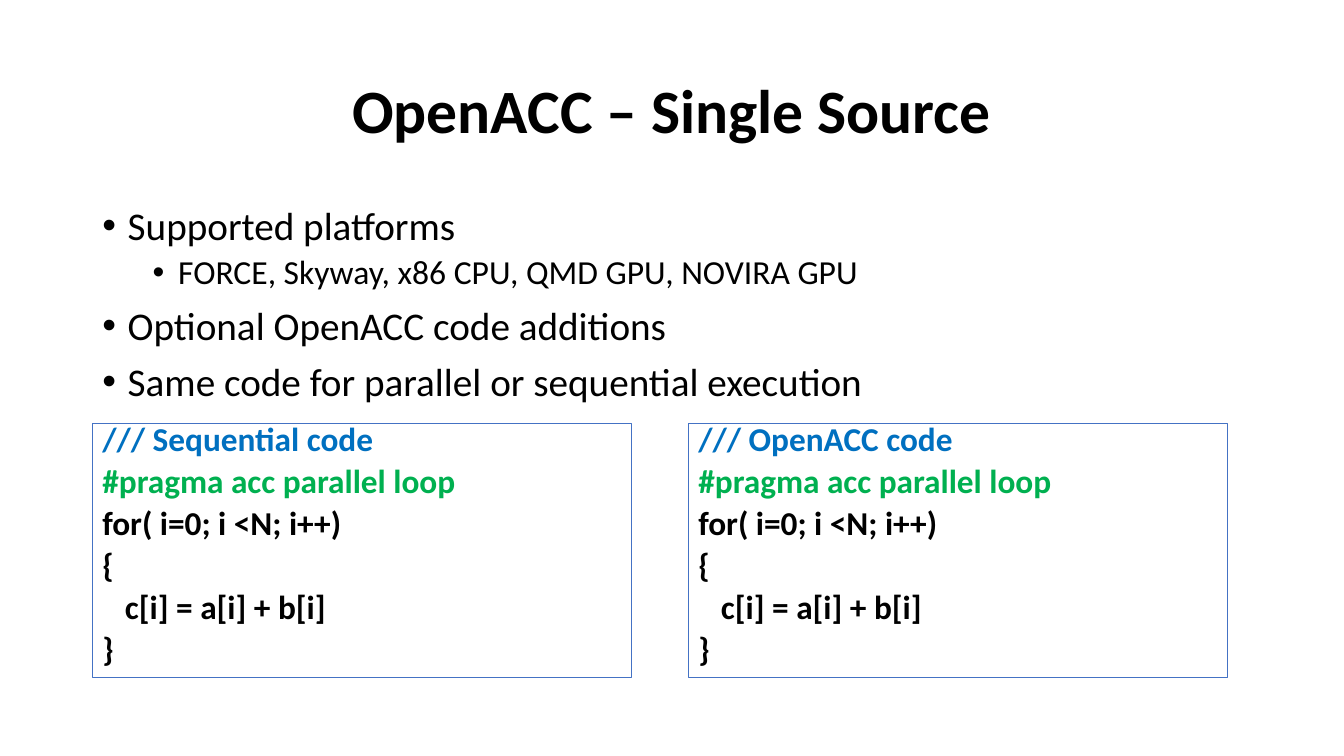
from pptx import Presentation
from pptx.dml.color import RGBColor as Rgb
from pptx.enum.shapes import MSO_SHAPE as Shape
from pptx.enum.text import MSO_ANCHOR as Anchor, PP_ALIGN as Align
from pptx.oxml.ns import qn
from pptx.util import Cm, Pt
from lxml import etree

BLACK = Rgb(0x00, 0x00, 0x00)
BLUE = Rgb(0x00, 0x70, 0xC0)
GREEN = Rgb(0x00, 0xB0, 0x50)
EDGE = Rgb(0x44, 0x72, 0xC4)

LEFT, WIDE = 2.33, 29.21
CODE_W, CODE_H, CODE_GAP = 13.59, 6.4, 1.43

POINTS = [
    (0, "Supported platforms"),
    (1, "FORCE, Skyway, x86 CPU, QMD GPU, NOVIRA GPU"),
    (0, "Optional OpenACC code additions"),
    (0, "Same code for parallel or sequential execution"),
]
LEVELS = [
    {"size": 28, "before": 10, "indent": 0.64},
    {"size": 24, "before": 5, "indent": 1.91},
]
LOOP = [
    ("#pragma acc parallel loop", GREEN, 0),
    ("for( i=0; i <N; i++)", BLACK, 0),
    ("{", BLACK, 0),
    ("c[i] = a[i] + b[i]", BLACK, 0.57),
    ("}", BLACK, 0),
]


def add_line(para, text, size, color=BLACK, bold=False, **format):
    run = para.add_run()
    run.text = text
    font = {"name": "Calibri", "size": Pt(size), "bold": bold}
    for key, value in font.items():
        setattr(run.font, key, value)
    run.font.color.rgb = color
    for key, value in format.items():
        setattr(para, key, value)


def set_indent(para, left, hang=0, bullet=None):
    """Indent a paragraph, with a hanging bullet if one is given."""
    props = para._p.get_or_add_pPr()
    props.set("marL", str(Cm(left)))
    props.set("indent", str(-Cm(hang)))
    if bullet:
        face = etree.SubElement(props, qn("a:buFont"))
        face.set("typeface", "Arial")
        etree.SubElement(props, qn("a:buChar")).set("char", bullet)


def next_para(frame, index):
    return frame.add_paragraph() if index else frame.paragraphs[0]


def add_text(slide, box, anchor=Anchor.TOP):
    frame = slide.shapes.add_textbox(*map(Cm, box)).text_frame
    frame.word_wrap = True
    frame.vertical_anchor = anchor
    return frame


def add_title(slide, box, text):
    frame = add_text(slide, box, Anchor.MIDDLE)
    add_line(frame.paragraphs[0], text, 44, bold=True,
             alignment=Align.CENTER, line_spacing=0.9)


def add_points(slide, box):
    frame = add_text(slide, box)
    for index, (level, text) in enumerate(POINTS):
        look = LEVELS[level]
        para = next_para(frame, index)
        add_line(para, text, look["size"], level=level, line_spacing=0.9,
                 space_before=Pt(look["before"]))
        set_indent(para, look["indent"], 0.64, "•")


def add_code(slide, box, title):
    panel = slide.shapes.add_shape(Shape.RECTANGLE, *map(Cm, box))
    panel.shadow.inherit = False
    panel.fill.background()
    panel.line.color.rgb = EDGE
    panel.line.width = Pt(0.75)
    frame = panel.text_frame
    frame.word_wrap = True
    frame.vertical_anchor = Anchor.TOP
    for index, (text, color, left) in enumerate([(title, BLUE, 0)] + LOOP):
        para = next_para(frame, index)
        add_line(para, text, 23.8, color, True, alignment=Align.LEFT,
                 line_spacing=0.7, space_before=Pt(10))
        set_indent(para, left)


def main():
    deck = Presentation()
    deck.slide_width, deck.slide_height = Cm(33.87), Cm(19.05)
    slide = deck.slides.add_slide(deck.slide_layouts[6])
    add_title(slide, (LEFT, 1.02, WIDE, 3.68), "OpenACC – Single Source")
    add_points(slide, (LEFT, 5.08, WIDE, 5.56))
    for index, name in enumerate(["Sequential", "OpenACC"]):
        left = LEFT + index * (CODE_W + CODE_GAP)
        add_code(slide, (left, 10.68, CODE_W, CODE_H), f"/// {name} code")
    deck.save("out.pptx")


if __name__ == "__main__":
    main()
